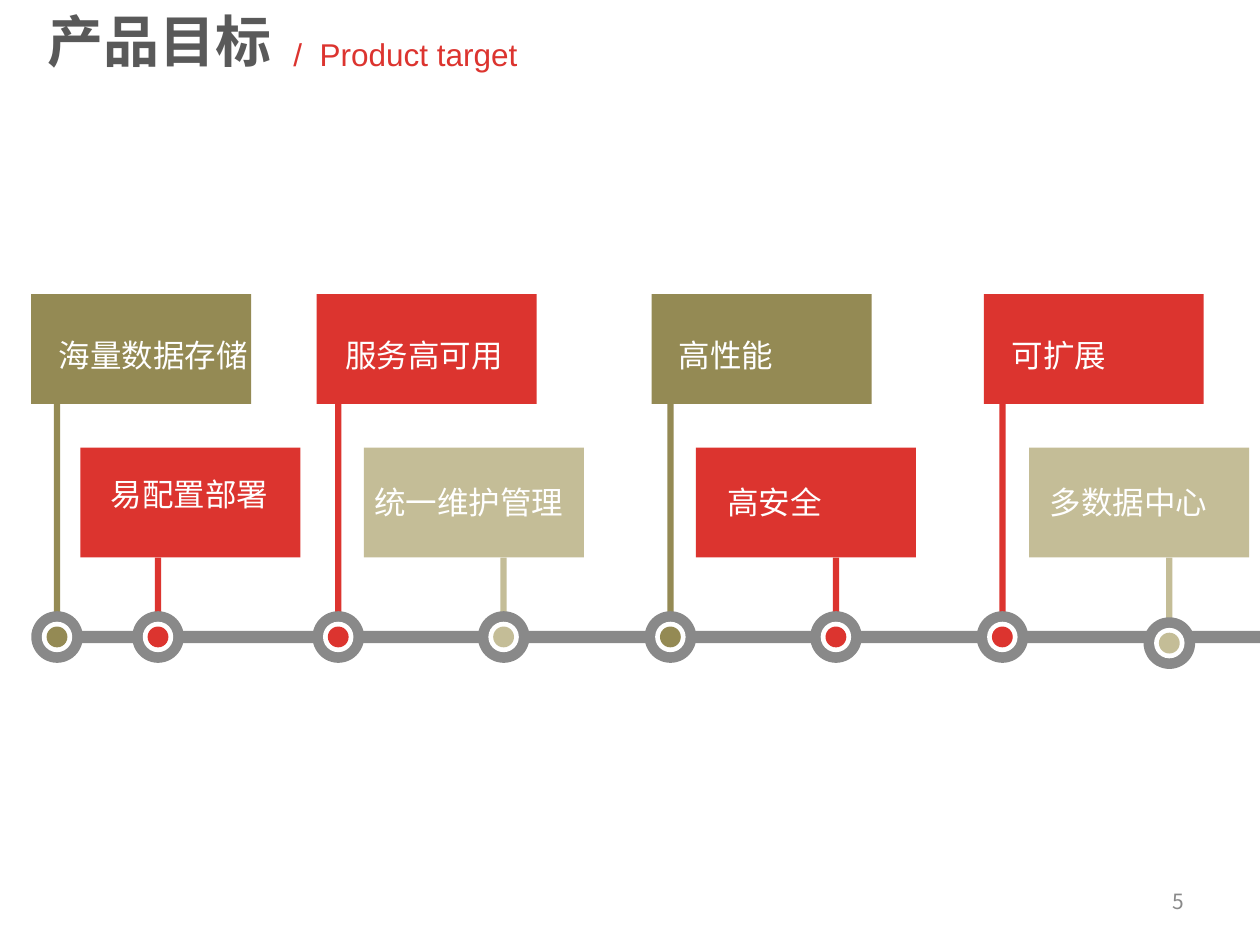
from lxml import etree
from pptx import Presentation
from pptx.dml.color import RGBColor
from pptx.enum import shapes, text
from pptx.oxml.ns import qn
from pptx.util import Pt

CJK, LATIN = "Noto Sans CJK SC", "Arial"
RED, OLIVE, SAND = "DC342F", "948A54", "C4BD97"
GREY, WHITE, DARK = "898989", "FFFFFF", "595959"

# label, colour, row, card left, text left, text top, node x, node y
GOALS = [
    ("海量数据存储", OLIVE, "upper", 17.8, 26.6, 188.6, 32.6, 364),
    ("易配置部署", RED, "lower", 46, 56.3, 267.8, 90.3, 364),
    ("服务高可用", RED, "upper", 181, 190.2, 188.6, 193.3, 364),
    ("统一维护管理", SAND, "lower", 208, 206.8, 272.2, 287.8, 364),
    ("高性能", OLIVE, "upper", 372.4, 380.8, 188.6, 383.1, 364),
    ("高安全", RED, "lower", 397.7, 408.4, 272.2, 477.7, 364),
    ("可扩展", RED, "upper", 562.2, 571, 188.6, 572.8, 364),
    ("多数据中心", SAND, "lower", 588.1, 592.8, 272.2, 668.2, 367.5),
]
ROW_TOP = {"upper": 168, "lower": 255.8}
CARD_W, CARD_H, STEM_W = 125.7, 62.8, 3.6
LABEL_W, LABEL_H = 126, 29
AXIS_Y, AXIS_H, AXIS_LEFT = 364, 7, 32.6
RINGS = [(29.5, GREY), (17.4, WHITE)]
DOT = 11.9


def rgb(color):
    return RGBColor.from_string(color)


def add_block(kind, x, y, w, h, color):
    sp = s.shapes.add_shape(kind, Pt(x), Pt(y), Pt(w), Pt(h))
    sp.shadow.inherit = False
    sp.fill.solid()
    sp.fill.fore_color.rgb = rgb(color)
    sp.line.fill.background()
    return sp


def write(content, x, y, w, h, sp=None, size=18, color=WHITE, font=CJK, bold=False,
          align=text.PP_ALIGN.LEFT, anchor=text.MSO_ANCHOR.TOP):
    sp = sp or s.shapes.add_textbox(0, 0, 0, 0)
    sp.left, sp.top, sp.width, sp.height = Pt(x), Pt(y), Pt(w), Pt(h)
    tf = sp.text_frame
    tf.word_wrap = True
    tf.auto_size = text.MSO_AUTO_SIZE.NONE
    tf.vertical_anchor = anchor
    p = tf.paragraphs[0]
    p.alignment = align
    r = p.add_run()
    r.text = content
    r.font.size, r.font.bold, r.font.name = Pt(size), bold, font
    r.font.color.rgb = rgb(color)
    etree.SubElement(r.font._element, qn("a:ea")).set("typeface", font)
    return sp


prs = Presentation()
prs.slide_width, prs.slide_height = Pt(720), Pt(540)
s = prs.slides.add_slide(prs.slide_layouts[5])
RECT, OVAL = shapes.MSO_SHAPE.RECTANGLE, shapes.MSO_SHAPE.OVAL

write("产品目标", 20.2, 0, 162, 46, sp=s.shapes.title, size=32, color=DARK, bold=True)
write("/  Product target", 160.6, 16.6, 185, 29, color=RED, font=LATIN)
write("5", 516, 500.5, 168, 28.8, size=12, color=GREY,
      align=text.PP_ALIGN.RIGHT, anchor=text.MSO_ANCHOR.MIDDLE)

add_block(RECT, AXIS_LEFT, AXIS_Y - AXIS_H / 2, 720 - AXIS_LEFT, AXIS_H, GREY)

for label, color, row, card_x, label_x, label_y, node_x, node_y in GOALS:
    top = ROW_TOP[row]
    stem_top = top + CARD_H
    add_block(RECT, node_x - STEM_W / 2, stem_top, STEM_W, AXIS_Y - stem_top, color)
    add_block(RECT, card_x, top, CARD_W, CARD_H, color)
    for d, ring_color in RINGS + [(DOT, color)]:
        add_block(OVAL, node_x - d / 2, node_y - d / 2, d, d, ring_color)
    write(label, label_x, label_y, LABEL_W, LABEL_H)

prs.save("out.pptx")
